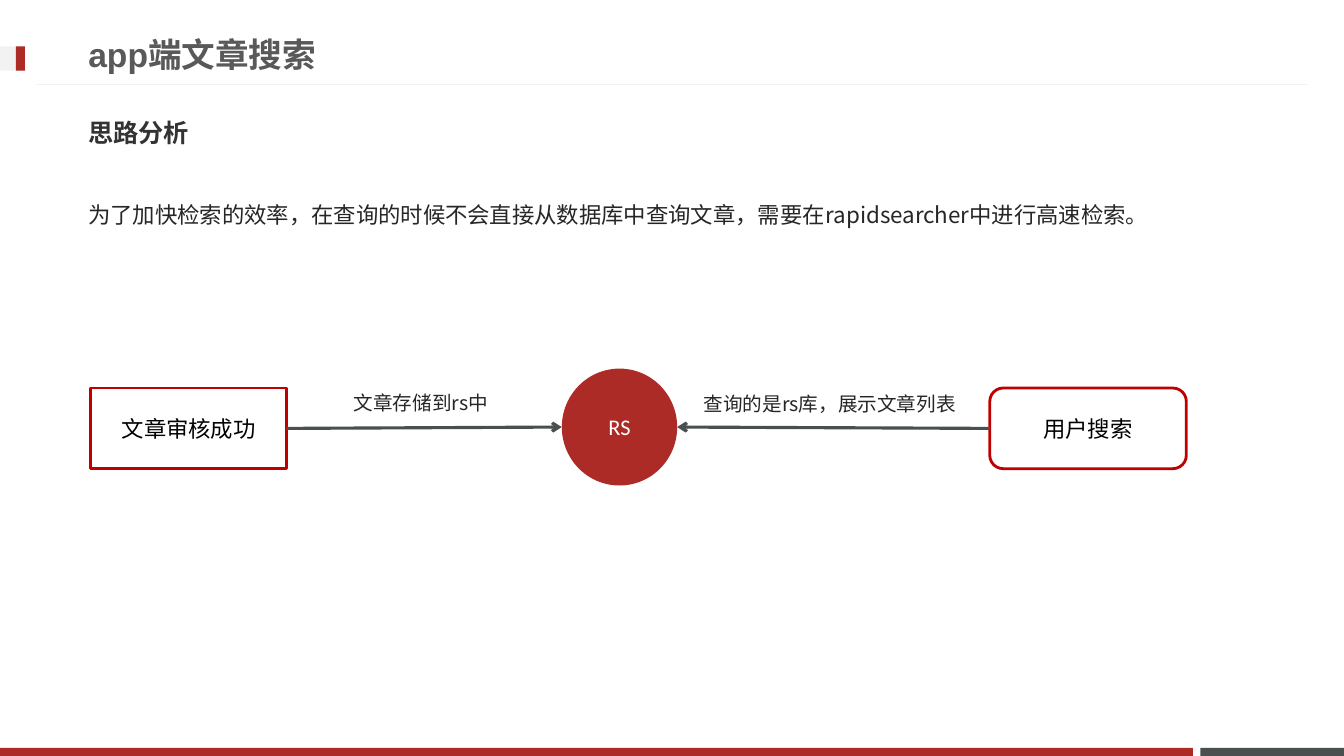
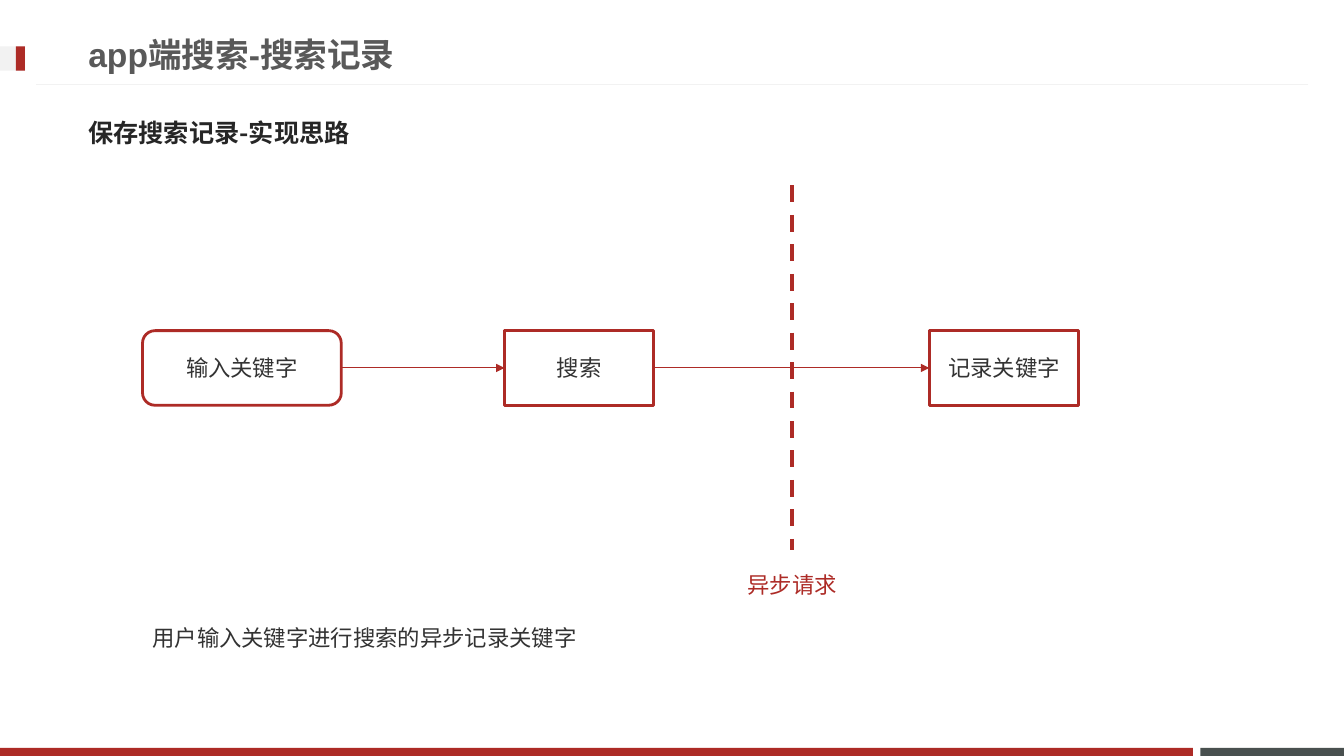
"""Builds two slides on article search and search history."""
from lxml.etree import SubElement
from pptx import Presentation
from pptx.dml.color import RGBColor
from pptx.enum.dml import MSO_LINE
from pptx.enum.shapes import MSO_CONNECTOR, MSO_SHAPE
from pptx.enum.text import MSO_ANCHOR, PP_ALIGN
from pptx.oxml.ns import qn
from pptx.util import Pt

RED, DEEP, SLATE, PALE = "AD2B26", "C00000", "49504F", "F2F2F2"
GREY, DARK, INK, BLACK, WHITE = "595959", "333333", "262626", "000000", "FFFFFF"
CJK, CALIBRI = "Noto Sans CJK JP", "Calibri"
RECT, ROUND, OVAL = MSO_SHAPE.RECTANGLE, MSO_SHAPE.ROUNDED_RECTANGLE, MSO_SHAPE.OVAL

BANDS = [
    ((857.5, 534.2, 102.5, 5.8), SLATE),
    ((0, 534.2, 852, 5.8), RED),
    ((0, 33.2, 18, 17.3), PALE),
    ((11.3, 33.2, 6.5, 17.3), RED),
]
SLIDES = [
    dict(
        title="app端文章搜索",
        heading=("思路分析", CALIBRI, DARK),
        notes=[
            ("为了加快检索的效率，在查询的时候不会直接从数据库中查询文章，需要在rapidsearcher中进行高速检索。",
             (56, 130.3, 842, 41), 16, CJK, INK),
            ("文章存储到rs中", (245.5, 267, 142.5, 46.8), 14, CJK, INK),
            ("查询的是rs库，展示文章列表", (495.4, 267.8, 204.5, 37.4), 14, CJK, INK),
        ],
        nodes=[
            ("文章审核成功", RECT, (64.8, 277.2, 140, 57.6), None, DEEP, BLACK),
            ("RS", OVAL, (401.3, 263.3, 82.4, 83.5), RED, None, WHITE),
            ("用户搜索", ROUND, (707, 277.2, 140.4, 57.6), None, DEEP, BLACK),
        ],
        links=[(0, 1), (2, 1)],
        link_style=(SLATE, 2.25, "arrow"),
    ),
    dict(
        title="app端搜索-搜索记录",
        heading=("保存搜索记录-实现思路", CJK, INK),
        notes=[
            ("异步请求", (527, 395, 98.6, 41), 16, CJK, RED),
            ("用户输入关键字进行搜索的异步记录关键字", (101.8, 432.7, 562, 41), 16, CALIBRI, DARK),
        ],
        nodes=[
            ("输入关键字", ROUND, (101.8, 236.2, 142, 53.3), None, RED, DARK),
            ("搜索", RECT, (360.4, 236.2, 106.6, 53.3), None, RED, DARK),
            ("记录关键字", RECT, (663.8, 236.2, 106.6, 53.3), None, RED, DARK),
        ],
        links=[(0, 1), (1, 2)],
        link_style=(RED, 0.75, "triangle"),
        divider=((566, 132.5), (566, 393)),
    ),
]


def rgb(color):
    """Turn a hex string into a colour."""
    return RGBColor.from_string(color)


def write(sp, text, size, font, color, bold=False, align=PP_ALIGN.LEFT,
          anchor=MSO_ANCHOR.MIDDLE, leading=None, before=0):
    """Put one styled paragraph into a shape."""
    tf = sp.text_frame
    tf.word_wrap = True
    tf.vertical_anchor = anchor
    p = tf.paragraphs[0]
    p.text = text
    p.alignment = align
    p.line_spacing = leading
    p.space_before = Pt(before)
    p.font.size = Pt(size)
    p.font.bold = bold
    p.font.color.rgb = rgb(color)
    p.font.name = font
    SubElement(p._p.pPr.find(qn("a:defRPr")), qn("a:ea"), typeface=CJK)


def add_text(s, text, box, *style, **options):
    """Add a wrapped text box."""
    write(s.shapes.add_textbox(*map(Pt, box)), text, *style, **options)


def add_block(s, kind, box, fill=None, line=None):
    """Add a flat shape with an optional fill and outline."""
    sp = s.shapes.add_shape(kind, *map(Pt, box))
    sp.shadow.inherit = False
    if fill:
        sp.fill.solid()
        sp.fill.fore_color.rgb = rgb(fill)
    else:
        sp.fill.background()
    if line:
        sp.line.color.rgb = rgb(line)
        sp.line.width = Pt(2)
    else:
        sp.line.fill.background()
    return sp


def add_line(s, start, end, color, width, head=None, dash=None):
    """Add a straight line with an optional arrowhead or dash."""
    cx = s.shapes.add_connector(MSO_CONNECTOR.STRAIGHT, *map(Pt, (*start, *end)))
    cx.line.color.rgb = rgb(color)
    cx.line.width = Pt(width)
    if dash:
        cx.line.dash_style = dash
    props = cx._element.spPr
    if head:
        SubElement(props.find(qn("a:ln")), qn("a:tailEnd"), type=head)
    SubElement(props, qn("a:effectLst"))


def add_link(s, source, target, style):
    """Join the facing sides of two boxes with an arrow."""
    (x1, y1, w1, h1), (x2, y2, w2, h2) = source, target
    rightward = x1 < x2
    start = (x1 + w1 * rightward, y1 + h1 / 2)
    end = (x2 + w2 * (not rightward), y2 + h2 / 2)
    add_line(s, start, end, *style)


def add_frame(s, title, heading):
    """Add the bands, title and heading that every slide has."""
    for box, color in BANDS:
        add_block(s, RECT, box, color)
    add_line(s, (934.6, 60.5), (25.5, 60.5), PALE, 0.75)
    add_text(s, title, (56, 18.2, 690.5, 41), 24, "Arial", GREY, bold=True)
    text, font, color = heading
    add_text(s, text, (56, 74, 842, 41), 18, font, color, bold=True, before=3.6)


def build_slide(prs, data):
    """Build one slide from its content."""
    s = prs.slides.add_slide(prs.slide_layouts[6])
    add_frame(s, data["title"], data["heading"])
    for text, kind, box, fill, line, color in data["nodes"]:
        sp = add_block(s, kind, box, fill, line)
        write(sp, text, 16, CALIBRI, color, align=PP_ALIGN.CENTER)
    if "divider" in data:
        add_line(s, *data["divider"], RED, 3, dash=MSO_LINE.DASH)
    boxes = [node[2] for node in data["nodes"]]
    for source, target in data["links"]:
        add_link(s, boxes[source], boxes[target], data["link_style"])
    for text, box, size, font, color in data["notes"]:
        add_text(s, text, box, size, font, color, anchor=MSO_ANCHOR.TOP,
                 leading=1.5, before=size * 0.2)


def main():
    """Build and save the presentation."""
    prs = Presentation()
    prs.slide_width, prs.slide_height = Pt(960), Pt(540)
    for data in SLIDES:
        build_slide(prs, data)
    prs.save("out.pptx")


if __name__ == "__main__":
    main()
